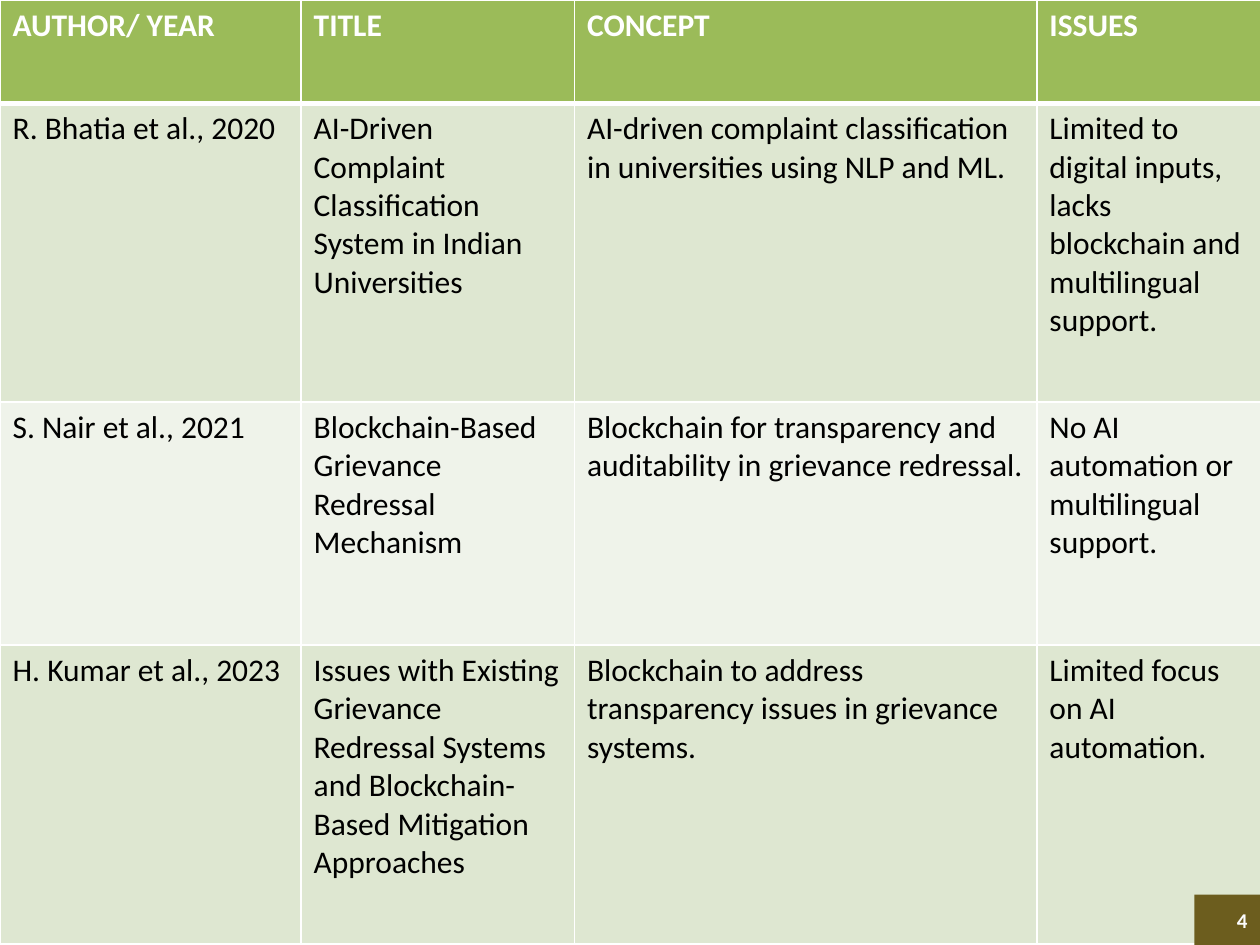
from lxml import etree
from pptx import Presentation
from pptx.dml.color import RGBColor
from pptx.enum.shapes import MSO_SHAPE
from pptx.enum.text import MSO_ANCHOR, PP_ALIGN
from pptx.oxml.ns import qn
from pptx.util import Inches, Pt

RECTANGLE = MSO_SHAPE.RECTANGLE
MIDDLE = MSO_ANCHOR.MIDDLE
LEFT, RIGHT = PP_ALIGN.LEFT, PP_ALIGN.RIGHT

COLORS = {
    "white": "FFFFFF",
    "black": "000000",
    "header": "9BBB59",
    "odd_row": "DEE7D1",
    "even_row": "EFF3EA",
    "badge": "6C5D1E",
    "badge_text": "FCFCFD",
}
FONT = "Calibri"
COLUMN_WIDTHS = [2.39, 2.17, 3.67, 1.81]
ROW_HEIGHTS = [0.82, 2.37, 1.93, 2.37]
STUDIES = [
    ["AUTHOR/ YEAR", "TITLE", "CONCEPT", "ISSUES"],
    ["R. Bhatia et al., 2020",
     "AI-Driven Complaint Classification System in Indian Universities",
     "AI-driven complaint classification in universities using NLP and ML.",
     "Limited to digital inputs, lacks blockchain and multilingual support."],
    ["S. Nair et al., 2021",
     "Blockchain-Based Grievance Redressal Mechanism",
     "Blockchain for transparency and auditability in grievance redressal.",
     "No AI automation or multilingual support."],
    ["H. Kumar et al., 2023",
     "Issues with Existing Grievance Redressal Systems and Blockchain-Based "
     "Mitigation Approaches",
     "Blockchain to address transparency issues in grievance systems.",
     "Limited focus on AI automation."],
]


def color(name):
    """Return the named colour."""
    return RGBColor.from_string(COLORS[name])


def fill_with(target, name):
    """Give a shape or cell a solid fill."""
    target.fill.solid()
    target.fill.fore_color.rgb = color(name)


def write(frame, text, size=18, ink="black", bold=False, align=LEFT, spacing=0):
    """Write one formatted paragraph into a text frame."""
    para = frame.paragraphs[0]
    para.alignment = align
    span = para.add_run()
    span.text = text
    span.font.name = FONT
    span.font.size = Pt(size)
    span.font.bold = bold
    span.font.color.rgb = color(ink)
    if spacing:
        span._r.get_or_add_rPr().set("spc", str(int(spacing * 100)))


def add_borders(cell, bottom=1, top=1):
    """Draw white lines around a cell, with widths in points."""
    properties = cell._tc.get_or_add_tcPr()
    for side, width in (("L", 1), ("R", 1), ("T", top), ("B", bottom)):
        line = etree.SubElement(properties, qn(f"a:ln{side}"), w=str(Pt(width)))
        solid = etree.SubElement(line, qn("a:solidFill"))
        etree.SubElement(solid, qn("a:srgbClr"), val=COLORS["white"])


def add_literature_table(page, left, top, width, height):
    """Place the literature survey table in the given box."""
    table = page.shapes.add_table(
        len(STUDIES), len(COLUMN_WIDTHS), left, top, width, height).table
    for column, column_width in zip(table.columns, COLUMN_WIDTHS):
        column.width = Inches(column_width)
    for index, (row, texts) in enumerate(zip(table.rows, STUDIES)):
        row.height = Inches(ROW_HEIGHTS[index])
        is_header = index == 0
        band = "header" if is_header else "odd_row" if index % 2 else "even_row"
        for cell, text in zip(row.cells, texts):
            add_borders(cell, bottom=3 if is_header else 1,
                        top=3 if index == 1 else 1)
            fill_with(cell, band)
            write(cell.text_frame, text, bold=is_header,
                  ink="white" if is_header else "black")


def add_page_number(page, left, top, width, height):
    """Place the page number badge in the given box."""
    badge = page.shapes.add_shape(RECTANGLE, left, top, width, height)
    badge.shadow.inherit = False
    fill_with(badge, "badge")
    badge.line.fill.background()
    badge.text_frame.vertical_anchor = MIDDLE
    write(badge.text_frame, "4", size=12, ink="badge_text", bold=True,
          align=RIGHT, spacing=0.5)


def main():
    """Build and save the slide."""
    deck = Presentation()
    deck.slide_width, deck.slide_height = Inches(10), Inches(7.5)
    page = deck.slides.add_slide(deck.slide_layouts[6])
    add_literature_table(page, Inches(0), Inches(0), Inches(10.05), Inches(7.5))
    add_page_number(page, Inches(9.48), Inches(7.1), Inches(0.52), Inches(0.4))
    deck.save("out.pptx")


if __name__ == "__main__":
    main()
